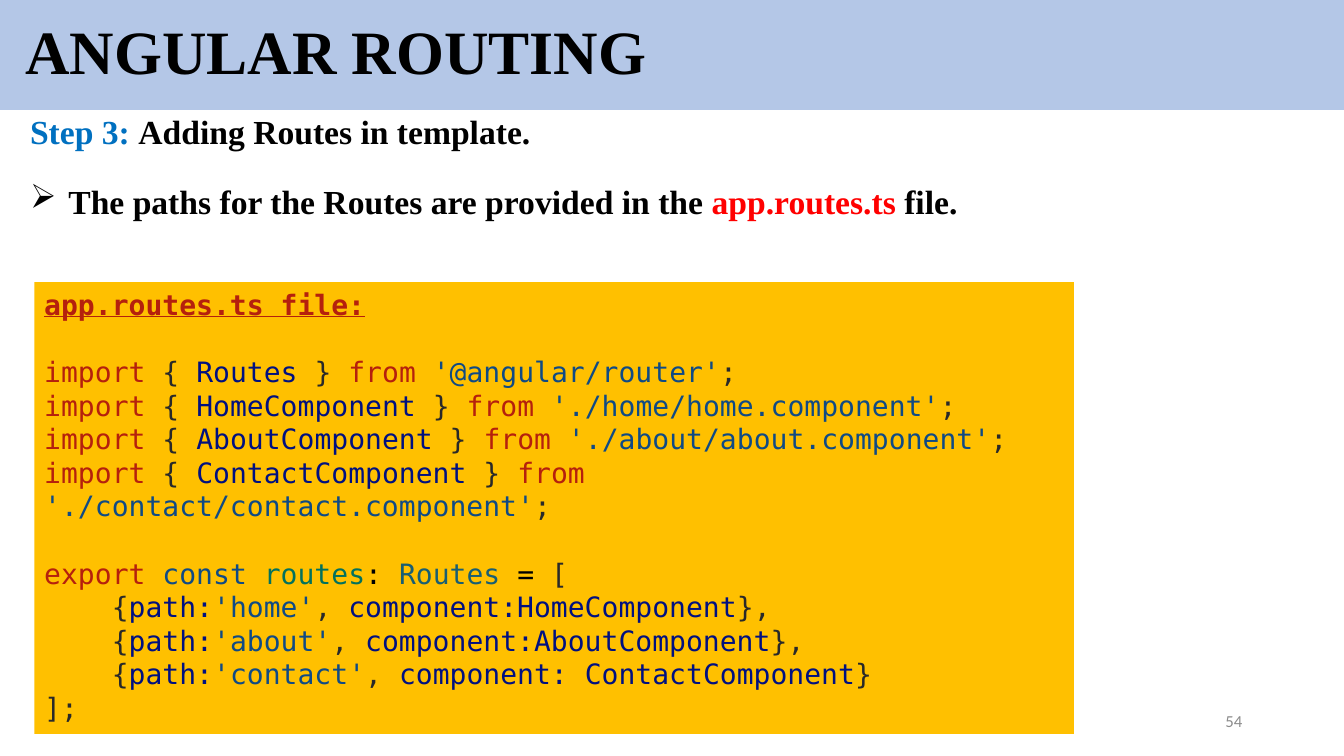
from lxml import etree
from pptx import Presentation
from pptx.dml.color import RGBColor
from pptx.enum.shapes import MSO_SHAPE
from pptx.enum.text import MSO_ANCHOR, MSO_AUTO_SIZE, PP_ALIGN
from pptx.oxml.ns import qn
from pptx.util import Inches, Pt

BLACK = RGBColor(0x00, 0x00, 0x00)
GREY = RGBColor(0x8C, 0x8C, 0x8C)
BAND = RGBColor(0xB4, 0xC7, 0xE7)
AMBER = RGBColor(0xFF, 0xC0, 0x00)
BLUE = RGBColor(0x00, 0x70, 0xC0)
RED = RGBColor(0xFF, 0x00, 0x00)
KEYWORD = RGBColor(0xB5, 0x20, 0x0D)
SYMBOL = RGBColor(0x29, 0x29, 0x29)
NAME = RGBColor(0x00, 0x10, 0x80)
STRING = RGBColor(0x0F, 0x4A, 0x85)
CONSTANT = RGBColor(0x02, 0x71, 0x5D)
TYPE = RGBColor(0x18, 0x5E, 0x73)

SERIF = "Times New Roman"
MONO = "DejaVu Sans Mono"
CODE_SIZE = 20
CODE_INDENT = 0.67

IMPORTS = [
    ("Routes", "@angular/router"),
    ("HomeComponent", "./home/home.component"),
    ("AboutComponent", "./about/about.component"),
    ("ContactComponent", "./contact/contact.component"),
]
ROUTES = [
    ("home", "component:HomeComponent", "},"),
    ("about", "component:AboutComponent", "},"),
    ("contact", "component: ContactComponent", "}"),
]


def write(paragraph, *runs, font=SERIF, size=24, bold=True, underline=False,
          align=PP_ALIGN.LEFT, before=0, indent=0, bullet=None):
    """Fill a paragraph with (text, colour) runs in one format."""
    paragraph.alignment = align
    paragraph.space_before = Pt(before)
    properties = paragraph._p.get_or_add_pPr()
    if indent:
        properties.set("marL", str(Inches(indent)))
    if bullet:
        properties.set("indent", str(-Inches(indent)))
        etree.SubElement(properties, qn("a:buChar")).set("char", bullet)
    for text, colour in runs:
        run = paragraph.add_run()
        run.text = text
        run.font.name = font
        run.font.size = Pt(size)
        run.font.bold = bold
        run.font.underline = underline
        run.font.color.rgb = colour


def add_line(slide, left, top, width, height, *runs, **style):
    """Add a text box that holds one paragraph."""
    frame = slide.shapes.add_textbox(
        Inches(left), Inches(top), Inches(width), Inches(height)).text_frame
    frame.word_wrap = True
    frame.vertical_anchor = MSO_ANCHOR.MIDDLE
    write(frame.paragraphs[0], *runs, **style)


def add_title(slide, left, top, width, height):
    """Turn the title placeholder into the heading band."""
    title = slide.shapes.title
    title.left, title.top = Inches(left), Inches(top)
    title.width, title.height = Inches(width), Inches(height)
    title.fill.solid()
    title.fill.fore_color.rgb = BAND
    frame = title.text_frame
    frame.auto_size = MSO_AUTO_SIZE.NONE
    frame.vertical_anchor = MSO_ANCHOR.MIDDLE
    frame.margin_left = Inches(0.25)
    write(frame.paragraphs[0], ("ANGULAR ROUTING", BLACK), size=44)
    frame.paragraphs[0].line_spacing = 0.9


def add_step(slide, left, top, width, line_height=0.5, pitch=0.69):
    """Add the step heading and its bulleted explanation."""
    add_line(slide, left, top, width, line_height,
             ("Step 3: ", BLUE), ("Adding Routes in template.", BLACK))
    add_line(slide, left, top + pitch, width, line_height,
             ("The paths for the Routes are provided in the ", BLACK),
             ("app.routes.ts ", RED), ("file.", BLACK),
             indent=0.38, bullet="➢")


def code_lines():
    """Return the listing as (runs, style) pairs."""
    gap = {"before": 24}
    lines = [([("app.routes.ts file:", KEYWORD)],
              {"bold": True, "underline": True})]
    for index, (name, source) in enumerate(IMPORTS):
        lines.append(([("import", KEYWORD), (" { ", SYMBOL), (name, NAME),
                       (" } ", SYMBOL), ("from ", KEYWORD),
                       (f"'{source}'", STRING), (";", SYMBOL)],
                      {} if index else gap))
    lines.append(([("export ", KEYWORD), ("const ", STRING),
                   ("routes", CONSTANT), (": ", BLACK), ("Routes ", TYPE),
                   ("=", BLACK), (" [", SYMBOL)], gap))
    for route, component, closing in ROUTES:
        lines.append(([("{", SYMBOL), ("path:", NAME), (f"'{route}'", STRING),
                       (", ", SYMBOL), (component, NAME), (closing, SYMBOL)],
                      {"indent": CODE_INDENT}))
    lines.append(([("];", SYMBOL)], {}))
    return lines


def add_code(slide, left, top, width, height):
    """Add the panel with the routes file."""
    panel = slide.shapes.add_shape(
        MSO_SHAPE.RECTANGLE,
        Inches(left), Inches(top), Inches(width), Inches(height))
    panel.shadow.inherit = False
    panel.fill.solid()
    panel.fill.fore_color.rgb = AMBER
    panel.line.fill.background()
    frame = panel.text_frame
    frame.word_wrap = True
    frame.vertical_anchor = MSO_ANCHOR.TOP
    for index, (runs, style) in enumerate(code_lines()):
        paragraph = frame.add_paragraph() if index else frame.paragraphs[0]
        write(paragraph, *runs,
              **{"font": MONO, "size": CODE_SIZE, "bold": False, **style})


def main():
    """Build the slide and save it."""
    deck = Presentation()
    deck.slide_width, deck.slide_height = Inches(13.33), Inches(7.5)
    slide = deck.slides.add_slide(deck.slide_layouts[5])
    add_title(slide, 0, 0, 13.33, 1.09)
    add_step(slide, 0.2, 1.05, 11.29)
    add_code(slide, 0.34, 2.8, 10.31, 4.48)
    add_line(slide, 9.42, 6.95, 3, 0.4, ("54", GREY), font="Calibri",
             size=12, bold=False, align=PP_ALIGN.RIGHT)
    deck.save("out.pptx")


if __name__ == "__main__":
    main()
